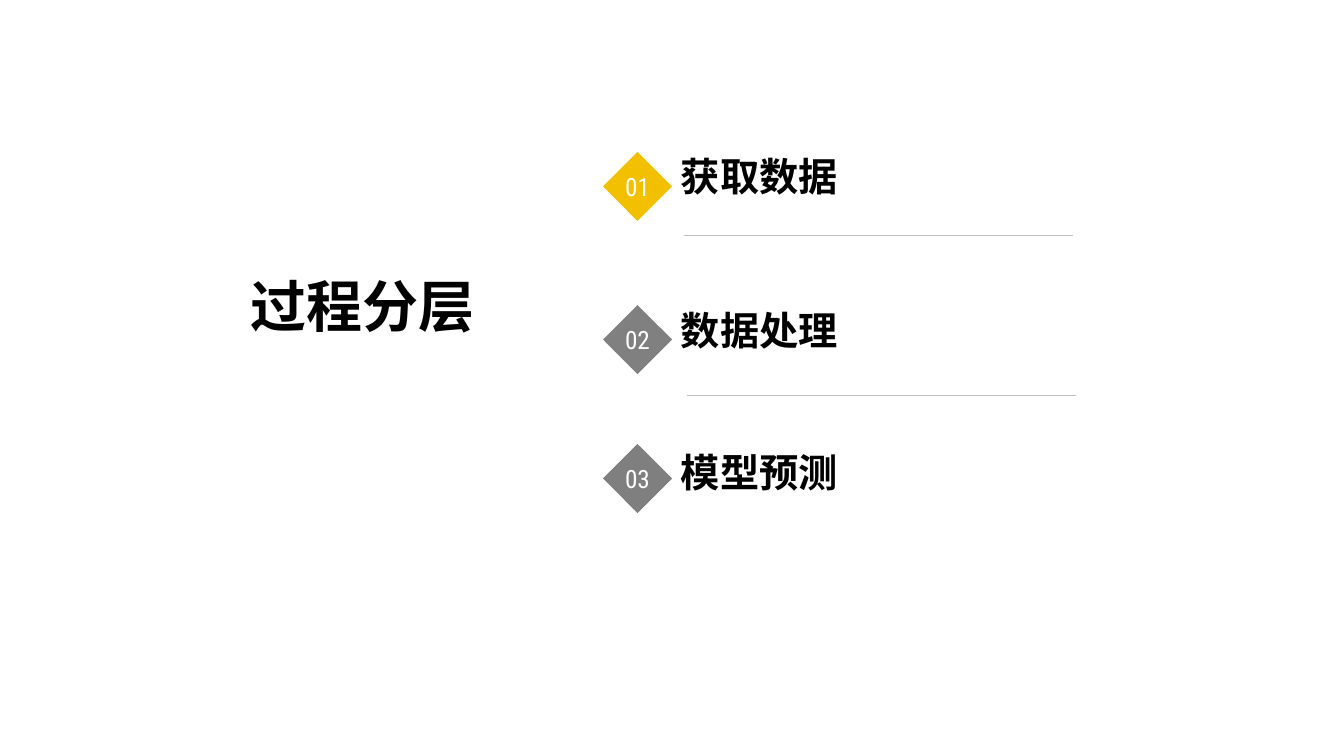
from lxml.etree import SubElement
from pptx import Presentation
from pptx.dml.color import RGBColor
from pptx.enum.shapes import MSO_CONNECTOR as Connector, MSO_SHAPE as Shape
from pptx.enum.text import MSO_ANCHOR as Anchor, PP_ALIGN as Align
from pptx.oxml.ns import qn
from pptx.util import Pt

EMU_PER_PX = 914400 / 100.8
COLORS = {"ink": "000000", "paper": "FFFFFF", "active": "F3C000",
          "grey": "808080", "dark_grey": "7F7F7F", "rule": "BFBFBF"}


def px(length):
    return round(length * EMU_PER_PX)


def color(name):
    return RGBColor.from_string(COLORS[name])


class AgendaSlide:
    """Draws the parts of an agenda on one slide in a shared style."""

    heading_font = "Arial"
    number_font = "Roboto Condensed"

    def __init__(self, slide):
        self.shapes = slide.shapes

    def add_text(self, frame, text, size, font, ink, align, bold=False):
        paragraph = frame.paragraphs[0]
        paragraph.alignment = align
        run = paragraph.add_run()
        run.text = text
        run.font.size = Pt(size)
        run.font.name = font
        run.font.bold = bold
        run.font.color.rgb = color(ink)

    def heading(self, text, left, top, width, height, size,
                align=Align.LEFT, anchor=Anchor.BOTTOM, wrap=False):
        frame = self.shapes.add_textbox(*map(px, (left, top, width, height))).text_frame
        frame.word_wrap = wrap
        frame.vertical_anchor = anchor
        self.add_text(frame, text, size, self.heading_font, "ink", align, bold=True)

    def marker(self, number, left, top, size, fill):
        diamond = self.shapes.add_shape(Shape.DIAMOND, *map(px, (left, top, size, size)))
        diamond.shadow.inherit = False
        diamond.fill.solid()
        diamond.fill.fore_color.rgb = color(fill)
        diamond.line.fill.background()
        frame = diamond.text_frame
        frame.margin_left = frame.margin_right = frame.margin_top = frame.margin_bottom = 0
        frame.word_wrap = False
        frame.vertical_anchor = Anchor.MIDDLE
        self.add_text(frame, number, 18, self.number_font, "paper", Align.CENTER)

    def rule(self, left, top, width):
        divider = self.shapes.add_connector(
            Connector.STRAIGHT, *map(px, (left, top, left + width, top)))
        divider.line.width = Pt(0.25)
        divider.line.color.rgb = color("rule")
        SubElement(divider._element.spPr, qn("a:effectLst"))


def main():
    deck = Presentation()
    deck.slide_width, deck.slide_height = px(1344), px(756)
    agenda = AgendaSlide(deck.slides.add_slide(deck.slide_layouts[6]))

    agenda.heading("过程分层", 112, 267, 372, 80, 40, Align.RIGHT, Anchor.TOP, wrap=True)

    steps = [("获取数据", 152, 169, "active"),
             ("数据处理", 305, 323, "grey"),
             ("模型预测", 444, 465, "dark_grey")]
    for number, (step, marker_top, step_top, fill) in enumerate(steps, start=1):
        agenda.marker(f"{number:02}", 603, marker_top, 69, fill)
        agenda.heading(step, 671, step_top, 420, 35, 28)

    for left, top in [(684, 235), (687, 395)]:
        agenda.rule(left, top, 389)

    deck.save("out.pptx")


if __name__ == "__main__":
    main()
